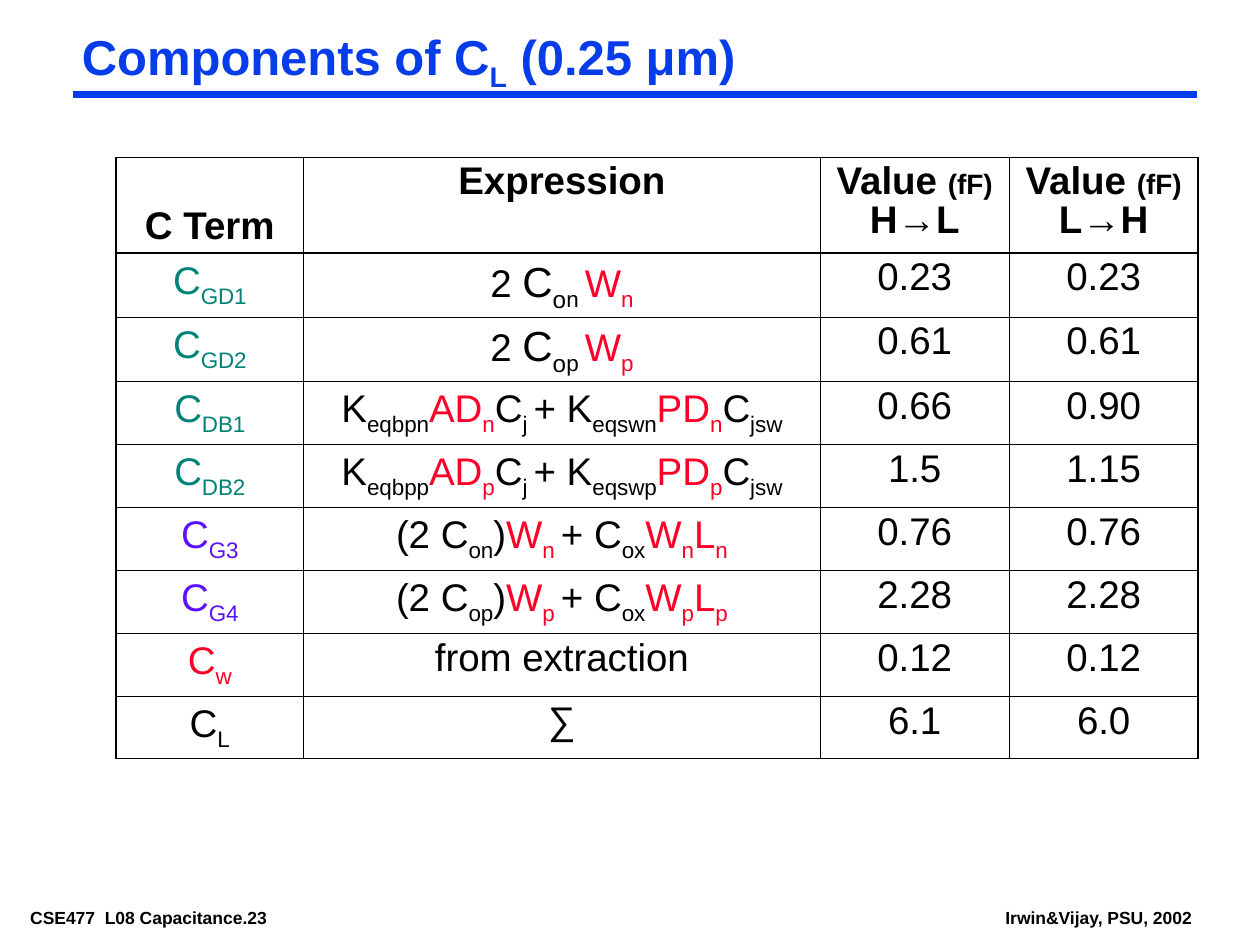
import dataclasses

import pptx
import pptx.dml.color
import pptx.enum.shapes
import pptx.enum.text
import pptx.oxml.ns
import pptx.util
from lxml import etree

Inches, Pt = pptx.util.Inches, pptx.util.Pt
Align = pptx.enum.text.PP_ALIGN
Anchor = pptx.enum.text.MSO_ANCHOR
qn = pptx.oxml.ns.qn


@dataclasses.dataclass(frozen=True)
class Theme:
    font: str = "Arial"
    blue: str = "063DE8"
    black: str = "000000"
    teal: str = "008276"
    violet: str = "5A11FD"
    red: str = "FC0128"
    head: int = 28
    big: int = 24
    body: int = 22
    unit: int = 16
    foot: int = 10
    thick: float = 1.08
    thin: float = 0.45
    rule: float = 4.5


theme = Theme()

# Runs are parted by "|"; marks before a run: _ subscript, ! red, ^ big, ~ unit
MARKS = "_!^~"
HEADS = ["C Term", "Expression", "Value |~(fF)| H→L", "Value |~(fF)| L→H"]
GATE = "2 |^C|^_o|_{0} |!W|!_{0}"
DIFF = "K|_eqbp{0}|!AD|!_{0}|C|_j |+ K|_eqsw{0}|!PD|!_{0}|C|_jsw"
LOAD = "(2 C|_o{0}|)|!W|!_{0} |+ C|_ox|!W|!_{0}|!L|!_{0}"
TERMS = [
    ("C|_GD1", theme.teal, GATE.format("n"), "0.23", "0.23"),
    ("C|_GD2", theme.teal, GATE.format("p"), "0.61", "0.61"),
    ("C|_DB1", theme.teal, DIFF.format("n"), "0.66", "0.90"),
    ("C|_DB2", theme.teal, DIFF.format("p"), "1.5", "1.15"),
    ("C|_G3", theme.violet, LOAD.format("n"), "0.76", "0.76"),
    ("C|_G4", theme.violet, LOAD.format("p"), "2.28", "2.28"),
    ("C|_w", theme.red, "from extraction", "0.12", "0.12"),
    ("C|_L", theme.black, "∑", "6.1", "6.0"),
]
COLS = [1.49, 4.1, 1.5, 1.5]
ROWS = [0.76, 0.51, 0.51, 0.5, 0.5, 0.5, 0.5, 0.5, 0.49]


def write(para, text, size, color, bold=False):
    """Fill a paragraph with marked runs."""
    for part in text.split("|"):
        words = part.lstrip(MARKS)
        marks = part[:len(part) - len(words)]
        run = para.add_run()
        run.text = words
        font = run.font
        font.name, font.bold = theme.font, bold
        font.size = Pt(theme.big if "^" in marks else theme.unit if "~" in marks else size)
        font.color.rgb = pptx.dml.color.RGBColor.from_string(
            theme.red if "!" in marks else color)
        if "_" in marks:
            font._element.set("baseline", "-25000")


def inset(frame, side, top, foot):
    frame.margin_left = frame.margin_right = Inches(side)
    frame.margin_top, frame.margin_bottom = Inches(top), Inches(foot)


def edge(cell, name, width):
    """Draw one border of a cell."""
    line = etree.SubElement(cell._tc.get_or_add_tcPr(), qn("a:" + name), w=str(Pt(width)))
    fill = etree.SubElement(line, qn("a:solidFill"))
    etree.SubElement(fill, qn("a:srgbClr"), val=theme.black)


def add_title(slide, left, top, width, height):
    # Rule just below the title box
    y = top + height + Inches(0.03)
    rule = slide.shapes.add_connector(
        pptx.enum.shapes.MSO_CONNECTOR.STRAIGHT, left, y, left + width, y)
    rule.line.width = Pt(theme.rule)
    rule.line.color.rgb = pptx.dml.color.RGBColor.from_string(theme.blue)
    etree.SubElement(rule._element.spPr, qn("a:effectLst"))

    # Title text
    title = slide.shapes.title
    title.left, title.top, title.width, title.height = left, top, width, height
    frame = title.text_frame
    frame.auto_size = pptx.enum.text.MSO_AUTO_SIZE.NONE
    frame.vertical_anchor = Anchor.TOP
    inset(frame, 0.07, 0.03, 0.03)
    para = frame.paragraphs[0]
    para.alignment, para.line_spacing = Align.LEFT, 0.87
    para.space_before = Pt(0)
    write(para, "Components of C|_L| (0.25 μm)", theme.head, theme.blue, True)


def add_grid(slide, left, top, width, height):
    grid = slide.shapes.add_table(len(ROWS), len(COLS), left, top, width, height).table
    grid.first_row = grid.horz_banding = False
    for col, size in zip(grid.columns, COLS):
        col.width = Inches(size)
    for row, size in zip(grid.rows, ROWS):
        row.height = Inches(size)

    # Header row, then one row for each capacitance
    lines = [[(text, theme.black) for text in HEADS]]
    for term, color, *rest in TERMS:
        lines.append([(term, color)] + [(text, theme.black) for text in rest])
    for r, line in enumerate(lines):
        for c, (text, color) in enumerate(line):
            cell = grid.cell(r, c)
            inset(cell, 0.1, 0.05, 0.05)
            cell.vertical_anchor = Anchor.BOTTOM if r == c == 0 else Anchor.TOP
            # Heavy lines frame the table and part the header from the body
            heavy = {"lnL": c == 0, "lnR": c == len(COLS) - 1,
                     "lnT": r < 2, "lnB": r in (0, len(ROWS) - 1)}
            for name, strong in heavy.items():
                edge(cell, name, theme.thick if strong else theme.thin)
            cell.fill.background()
            para = cell.text_frame.paragraphs[0]
            para.alignment, para.line_spacing = Align.CENTER, 0.9
            write(para, text, theme.body, color, r == 0)


def add_note(slide, text, left, top, width, height):
    frame = slide.shapes.add_textbox(left, top, width, height).text_frame
    frame.word_wrap = False
    inset(frame, 0.07, 0.03, 0.03)
    write(frame.paragraphs[0], text, theme.foot, theme.black, True)


def main():
    deck = pptx.Presentation()
    deck.slide_width, deck.slide_height = Inches(10), Inches(7.5)
    slide = deck.slides.add_slide(deck.slide_layouts[5])
    add_title(slide, Inches(0.58), Inches(0.2), Inches(8.92), Inches(0.52))
    add_grid(slide, Inches(0.92), Inches(1.25), Inches(sum(COLS)), Inches(sum(ROWS)))
    # Footer
    add_note(slide, "CSE477  L08 Capacitance.23",
             Inches(0.17), Inches(7.17), Inches(2.53), Inches(0.22))
    add_note(slide, "Irwin&Vijay, PSU, 2002",
             Inches(7.91), Inches(7.17), Inches(1.63), Inches(0.22))
    deck.save("out.pptx")


if __name__ == "__main__":
    main()
